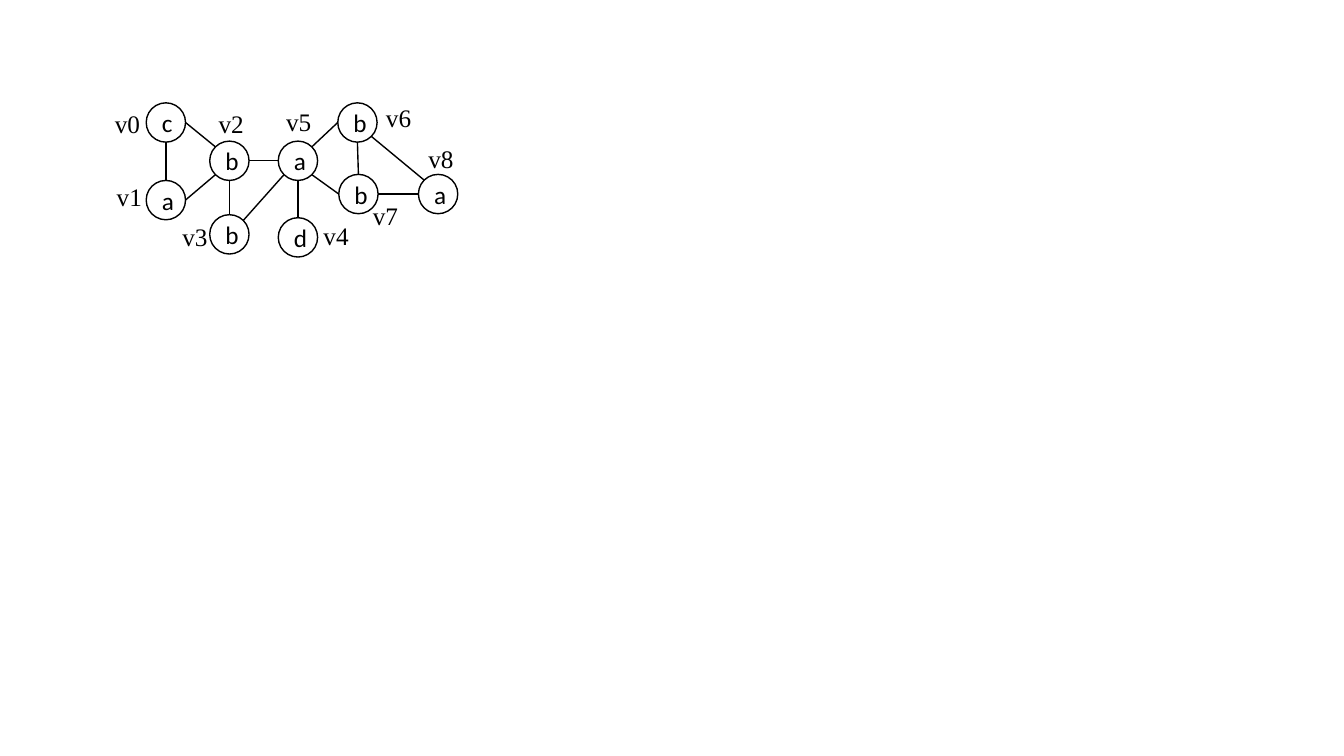
"""Draw a labelled graph of nine vertices on one slide."""
from math import cos, radians, sin

from pptx import Presentation
from pptx.dml.color import RGBColor
from pptx.enum.shapes import MSO_CONNECTOR, MSO_SHAPE
from pptx.enum.text import MSO_ANCHOR, MSO_AUTO_SIZE, PP_ALIGN
from pptx.oxml.ns import qn
from pptx.util import Inches, Pt
from lxml import etree

BLACK = "000000"
WHITE = "FFFFFF"
DIAMETER = 0.39
RADIUS = DIAMETER / 2
ANGLES = {"E": 0, "SE": 45, "S": 90, "SW": 135, "W": 180, "NW": 225, "N": 270, "NE": 315}

VERTICES = {
    "v0": ("c", (1.45, 1.02), (1.04, 1.03)),
    "v1": ("a", (1.45, 1.79), (1.06, 1.75)),
    "v2": ("b", (2.08, 1.4), (2.07, 1.03)),
    "v3": ("b", (2.08, 2.13), (1.71, 2.15)),
    "v4": ("d", (2.76, 2.16), (3.11, 2.14)),
    "v5": ("a", (2.76, 1.4), (2.74, 1.01)),
    "v6": ("b", (3.35, 1.02), (3.73, 0.97)),
    "v7": ("b", (3.36, 1.73), (3.6, 1.94)),
    "v8": ("a", (4.15, 1.73), (4.15, 1.37)),
}
EDGES = [
    ("v0", "E", "v2", "NW"),
    ("v0", "S", "v1", "N"),
    ("v2", "SW", "v1", "E"),
    ("v5", "W", "v2", "E"),
    ("v6", "W", "v5", "NE"),
    ("v7", "W", "v5", "SE"),
    ("v7", "N", "v6", "S"),
    ("v8", "NW", "v6", "SE"),
    ("v8", "W", "v7", "E"),
    ("v3", "N", "v2", "S"),
    ("v3", "NE", "v5", "SW"),
    ("v4", "N", "v5", "S"),
]


def rgb(value):
    return RGBColor.from_string(value)


def add_run(p, text, font):
    r = p.add_run()
    r.text = text
    r.font.name = font
    r.font.size = Pt(18)
    r.font.color.rgb = rgb(BLACK)


prs = Presentation()
prs.slide_width, prs.slide_height = Inches(13.33), Inches(7.5)
s = prs.slides.add_slide(prs.slide_layouts[6])

for letter, (x, y), _ in VERTICES.values():
    sp = s.shapes.add_shape(
        MSO_SHAPE.OVAL, Inches(x), Inches(y), Inches(DIAMETER), Inches(DIAMETER))
    sp.shadow.inherit = False
    sp.fill.solid()
    sp.fill.fore_color.rgb = rgb(WHITE)
    sp.line.color.rgb = rgb(BLACK)
    sp.line.width = Pt(1)
    tf = sp.text_frame
    tf.vertical_anchor = MSO_ANCHOR.MIDDLE
    p = tf.paragraphs[0]
    p.alignment = PP_ALIGN.CENTER
    add_run(p, letter, "Calibri")

for start, start_side, end, end_side in EDGES:
    ends = []
    for name, side in ((start, start_side), (end, end_side)):
        x, y = VERTICES[name][1]
        angle = radians(ANGLES[side])
        ends += [Inches(x + RADIUS + RADIUS * cos(angle)),
                 Inches(y + RADIUS + RADIUS * sin(angle))]
    edge = s.shapes.add_connector(MSO_CONNECTOR.STRAIGHT, *ends)
    edge.line.color.rgb = rgb(BLACK)
    edge.line.width = Pt(1)
    etree.SubElement(edge._element.spPr, qn("a:effectLst"))

for name, (_, _, (x, y)) in VERTICES.items():
    label = s.shapes.add_textbox(Inches(x), Inches(y), Inches(0.5), Inches(0.4))
    tf = label.text_frame
    tf.word_wrap = True
    tf.auto_size = MSO_AUTO_SIZE.SHAPE_TO_FIT_TEXT
    add_run(tf.paragraphs[0], name, "Times New Roman")

prs.save("out.pptx")
